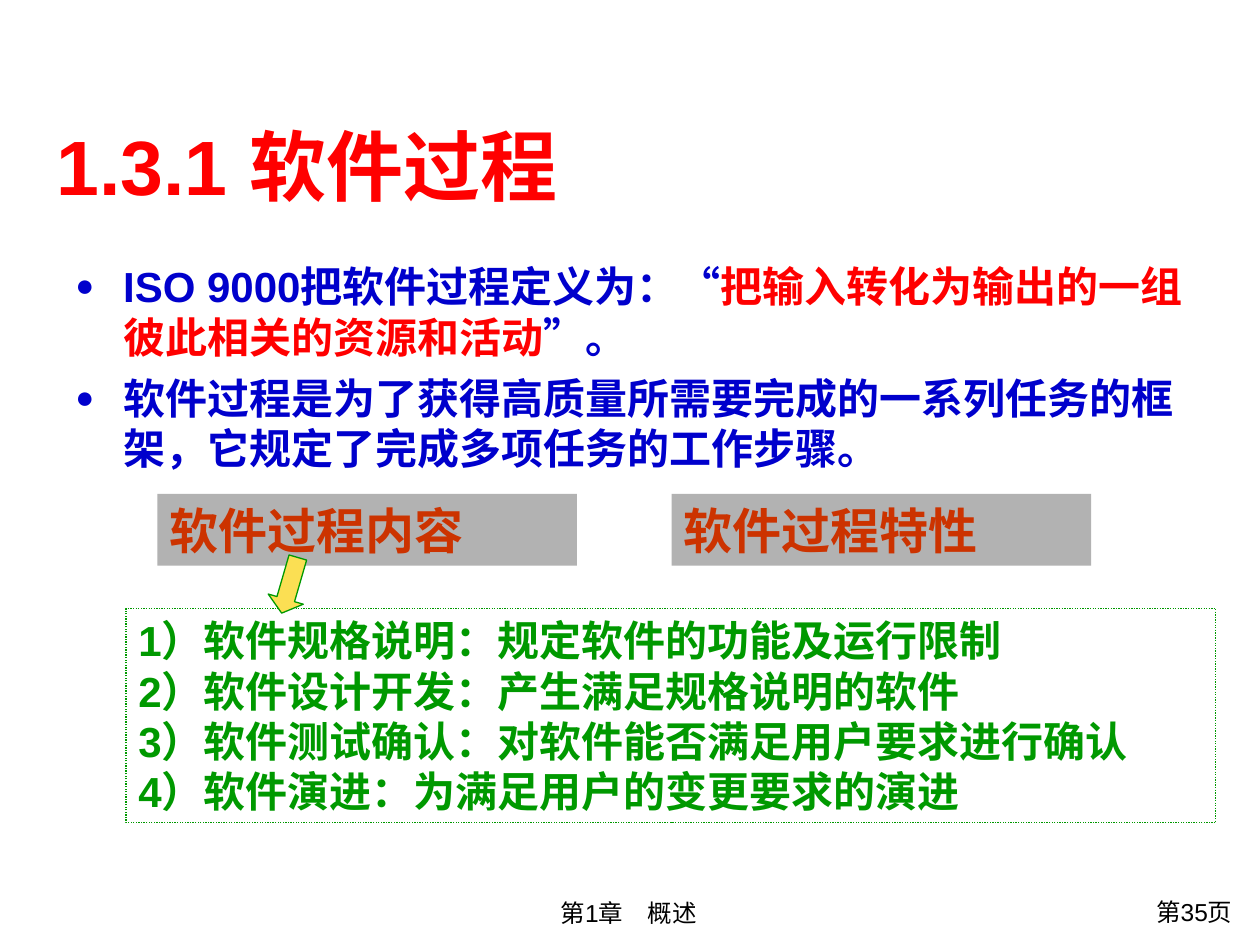
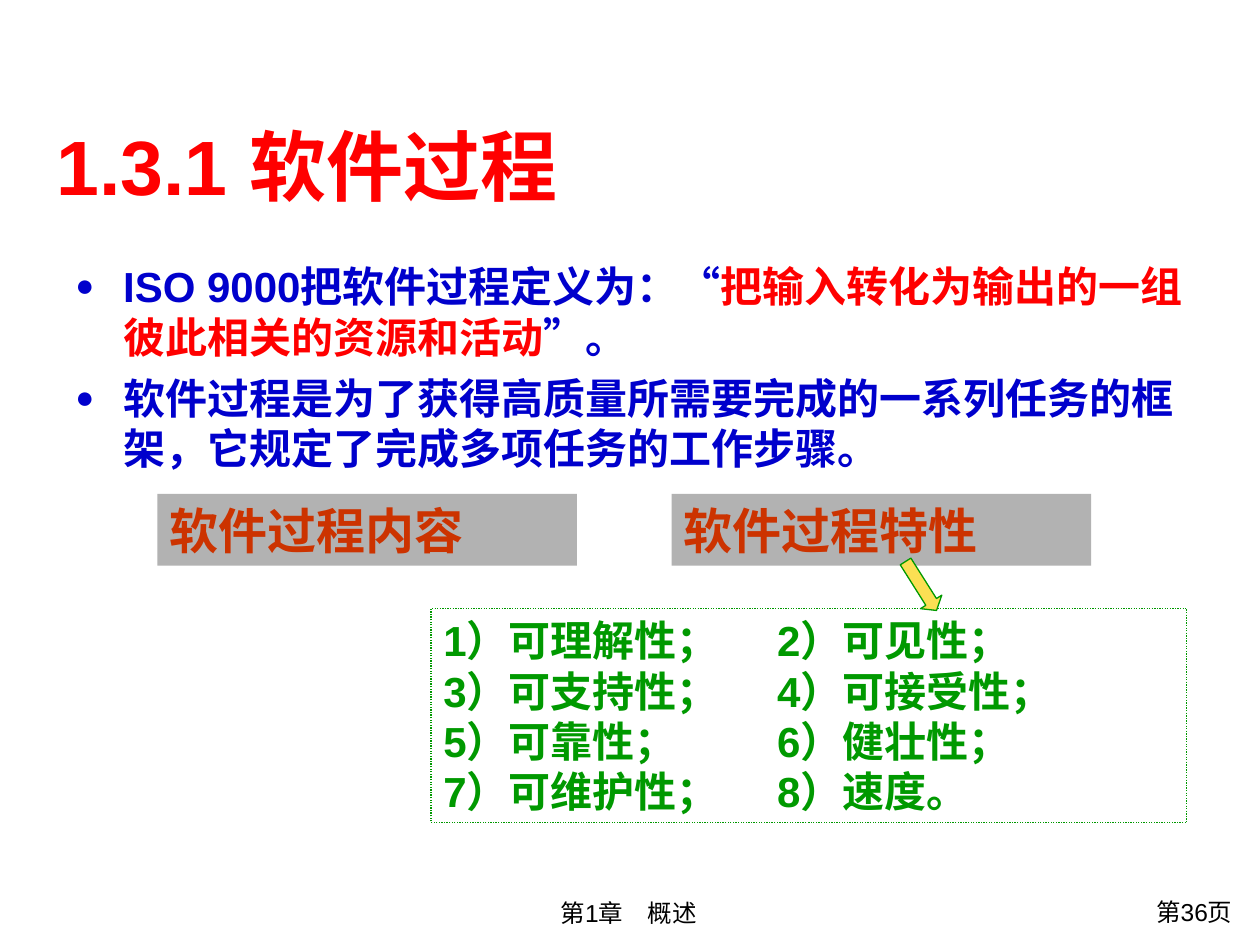
from lxml import etree
from pptx import Presentation
from pptx.dml.color import RGBColor
from pptx.enum.dml import MSO_LINE
from pptx.enum.lang import MSO_LANGUAGE_ID
from pptx.enum.shapes import MSO_SHAPE
from pptx.enum.text import MSO_ANCHOR, PP_ALIGN
from pptx.oxml.ns import qn
from pptx.util import Inches, Pt

LEFT, CENTER, RIGHT = PP_ALIGN.LEFT, PP_ALIGN.CENTER, PP_ALIGN.RIGHT
TOP, MIDDLE = MSO_ANCHOR.TOP, MSO_ANCHOR.MIDDLE
RECTANGLE, LEFT_ARROW = MSO_SHAPE.RECTANGLE, MSO_SHAPE.LEFT_ARROW
DOTTED = MSO_LINE.ROUND_DOT
CHINESE = MSO_LANGUAGE_ID.SIMPLIFIED_CHINESE

FONT = "Arial"
RED, BLUE, GREEN, BLACK = "FF0000", "0000CC", "009900", "000000"
RUST, GREY, YELLOW = "CC3300", "B2B2B2", "FBDF53"

TITLE = "1.3.1 软件过程"
CHAPTER = "第1章　概述"
# A paragraph is a string, or a list of (text, colour) spans.
DEFINITIONS = [
    [("ISO 9000把软件过程定义为：“", BLUE),
     ("把输入转化为输出的一组彼此相关的资源和活动", RED),
     ("”。", BLUE)],
    "软件过程是为了获得高质量所需要完成的一系列任务的框架，它规定了完成多项任务的工作步骤。",
]
TOPICS = ["软件过程内容", "软件过程特性"]
SLIDES = [
    {"number": 35,
     "details": ["1）软件规格说明：规定软件的功能及运行限制",
                 "2）软件设计开发：产生满足规格说明的软件",
                 "3）软件测试确认：对软件能否满足用户要求进行确认",
                 "4）软件演进：为满足用户的变更要求的演进"],
     "panel_left": 1, "panel_width": 8.65,
     "arrow": (2.07, 4.5, 0.46, 0.29), "turn": 286.2},
    {"number": 36,
     "details": ["1）可理解性；\t2）可见性；",
                 "3）可支持性；\t4）可接受性；",
                 "5）可靠性；\t6）健壮性；",
                 "7）可维护性；\t8）速度。"],
     "panel_left": 3.42, "panel_width": 6,
     "arrow": (7.08, 4.55, 0.46, 0.2), "turn": 237.7},
]

TOPIC_LEFT, TOPIC_STEP, TOPIC_TOP = 1.25, 4.08, 3.92
TOPIC_WIDTH, TOPIC_HEIGHT = 3.33, 0.57
PANEL_TOP, PANEL_LINE, PANEL_PADDING = 4.83, 0.4, 0.1
SECOND_COLUMN = 2.65
BULLET_INDENT = 0.38


def rgb(value):
    return RGBColor.from_string(value)


def add_property(para, tag, **attributes):
    return etree.SubElement(para._p.get_or_add_pPr(), qn(tag), attributes)


def add_bullet(para, color):
    properties = para._p.get_or_add_pPr()
    properties.set("marL", str(Inches(BULLET_INDENT)))
    properties.set("indent", str(-Inches(BULLET_INDENT)))
    bullet_color = add_property(para, "a:buClr")
    etree.SubElement(bullet_color, qn("a:srgbClr"), val=color)
    add_property(para, "a:buSzPct", val="75000")
    add_property(para, "a:buFont", typeface=FONT)
    add_property(para, "a:buChar", char="●")


def write(box, paragraphs, size, color, bold=True, align=LEFT, anchor=TOP,
          bullet=False, gap=0, tab=None):
    """Fill a box with paragraphs; gap is the space between them in points."""
    frame = box.text_frame
    frame.word_wrap = True
    frame.vertical_anchor = anchor
    for index, content in enumerate(paragraphs):
        para = frame.add_paragraph() if index else frame.paragraphs[0]
        if bullet:
            add_bullet(para, color)
        if tab:
            stops = add_property(para, "a:tabLst")
            etree.SubElement(stops, qn("a:tab"), pos=str(Inches(tab)), algn="l")
        para.alignment = align
        if index and gap:
            para.space_before = Pt(gap)
        spans = [(content, color)] if isinstance(content, str) else content
        for text, span_color in spans:
            span = para.add_run()
            span.text = text
            span.font.name = FONT
            span.font.size = Pt(size)
            span.font.bold = bold
            span.font.color.rgb = rgb(span_color)
            span.font.language_id = CHINESE


def add_text(page, place, paragraphs, **style):
    write(page.shapes.add_textbox(*map(Inches, place)), paragraphs, **style)


def add_shape(page, kind, place, fill=None, line=None):
    shape = page.shapes.add_shape(kind, *map(Inches, place))
    shape.shadow.inherit = False
    if fill:
        shape.fill.solid()
        shape.fill.fore_color.rgb = rgb(fill)
    else:
        shape.fill.background()
    if line:
        shape.line.color.rgb = rgb(line)
        shape.line.width = Pt(0.75)
    else:
        shape.line.fill.background()
    return shape


def add_frame(page, number):
    """Add the title, definitions, topic boxes and footers of every slide."""
    footer = {"size": 14, "color": BLACK, "bold": False}
    add_text(page, (2.35, 7.08, 5.28, 0.34), [CHAPTER], align=CENTER, **footer)
    add_text(page, (8.54, 7.07, 1.34, 0.37), [f"第{number}页"], align=RIGHT, **footer)
    add_text(page, (0.35, 0.83, 9, 0.95), [TITLE], size=44, color=RED, anchor=MIDDLE)
    add_text(page, (0.5, 2.02, 9, 1.97), DEFINITIONS, size=24, color=BLUE,
             bullet=True, gap=6)
    for column, topic in enumerate(TOPICS):
        left = TOPIC_LEFT + column * TOPIC_STEP
        box = add_shape(page, RECTANGLE, (left, TOPIC_TOP, TOPIC_WIDTH, TOPIC_HEIGHT),
                        fill=GREY)
        write(box, [topic], size=28, color=RUST)


def add_details(page, slide):
    """Add the dotted panel and the arrow that leads to it from its topic."""
    details = slide["details"]
    height = len(details) * PANEL_LINE + PANEL_PADDING
    panel = add_shape(page, RECTANGLE,
                      (slide["panel_left"], PANEL_TOP, slide["panel_width"], height),
                      line=GREEN)
    panel.line.dash_style = DOTTED
    tab = SECOND_COLUMN if "\t" in details[0] else None
    write(panel, details, size=24, color=GREEN, tab=tab)
    arrow = add_shape(page, LEFT_ARROW, slide["arrow"], fill=YELLOW, line=GREEN)
    arrow.rotation = slide["turn"]
    arrow.adjustments[1] = 0.4


def main():
    deck = Presentation()
    deck.slide_width, deck.slide_height = Inches(10), Inches(7.5)
    blank = deck.slide_layouts[6]
    for slide in SLIDES:
        page = deck.slides.add_slide(blank)
        add_frame(page, slide["number"])
        add_details(page, slide)
    deck.save("out.pptx")


if __name__ == "__main__":
    main()
